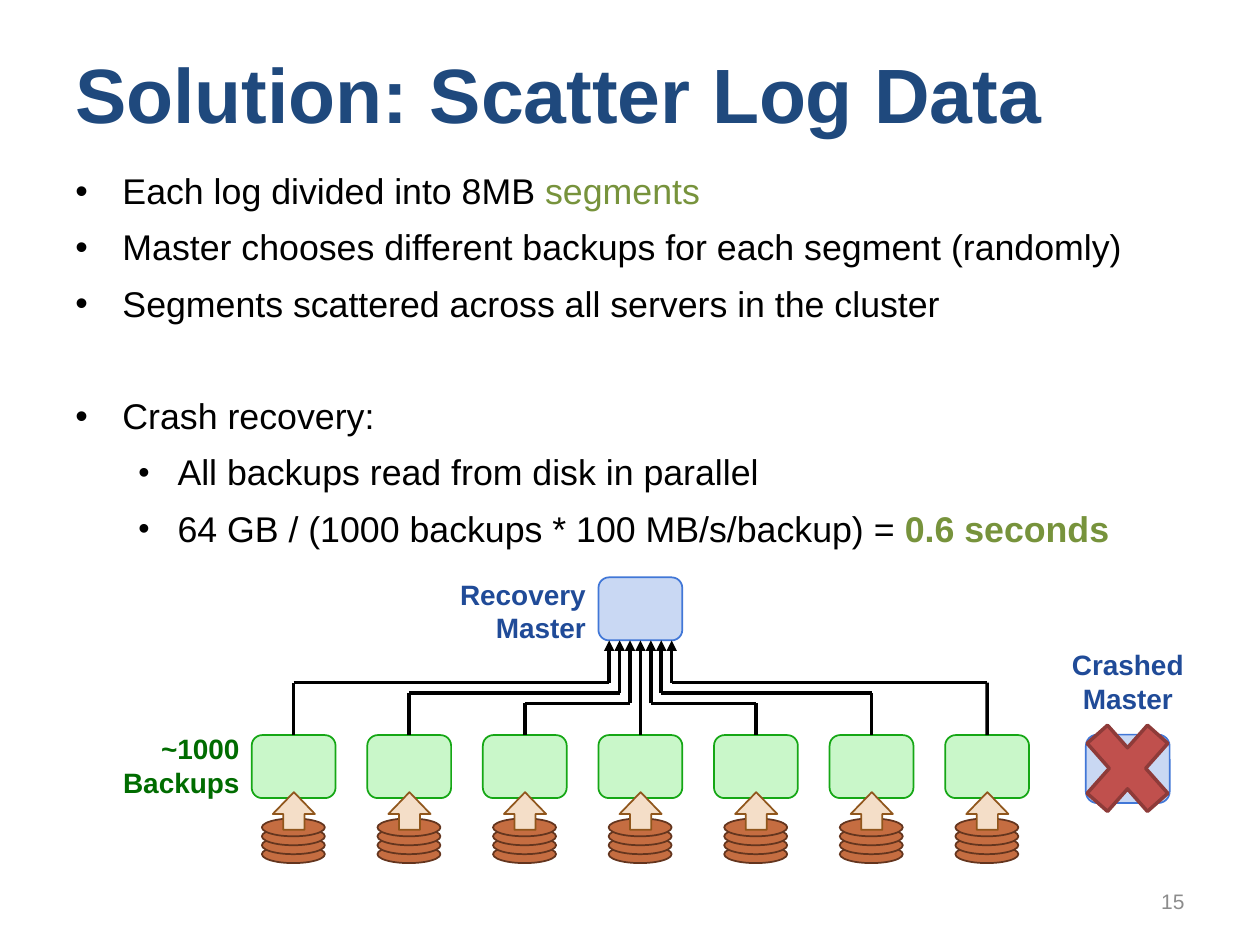
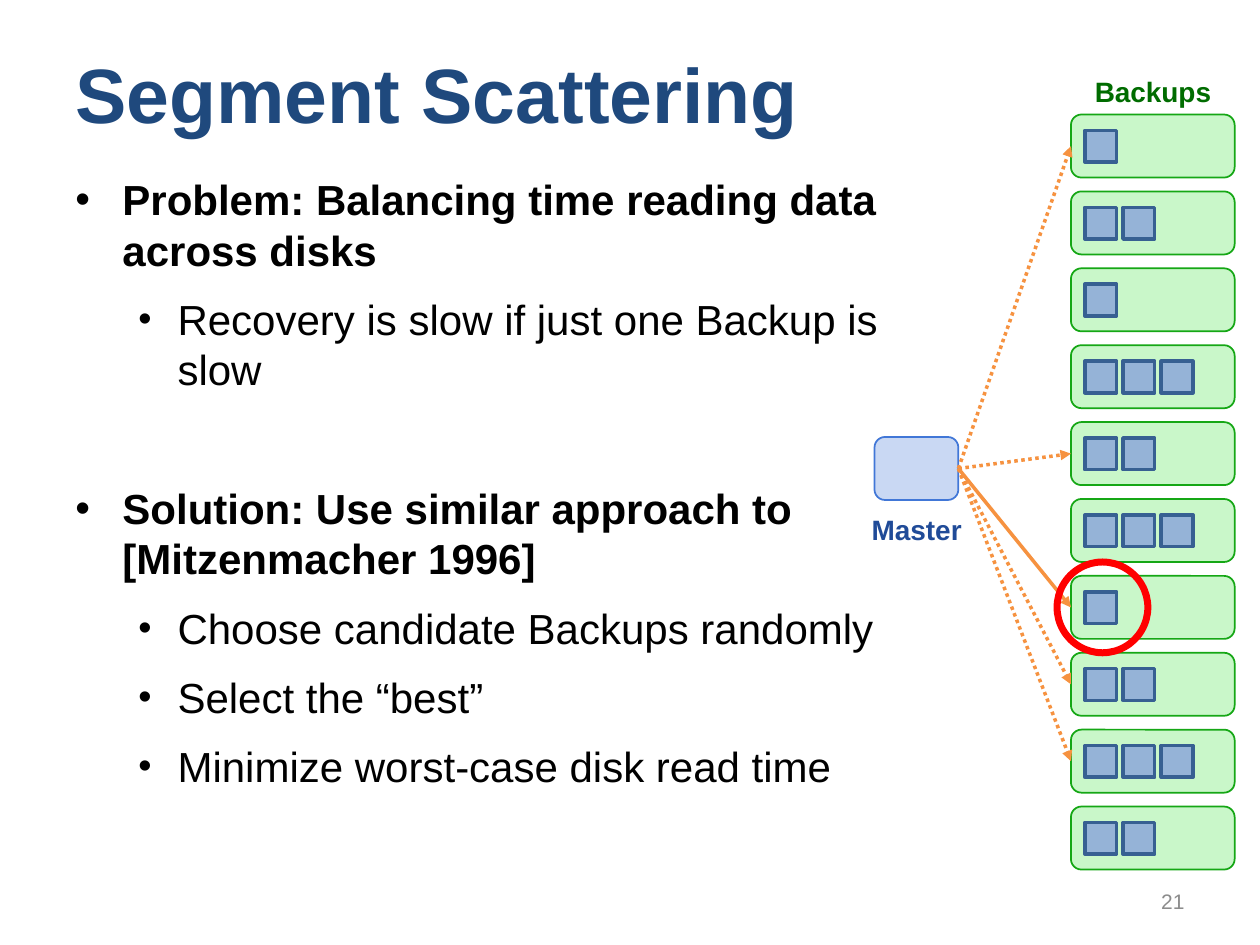
from lxml.etree import SubElement
from pptx import Presentation
from pptx.dml.color import RGBColor
from pptx.enum.dml import MSO_LINE
from pptx.enum.shapes import MSO_CONNECTOR, MSO_SHAPE as SHAPE
from pptx.enum.text import MSO_ANCHOR as ANCHOR, PP_ALIGN as ALIGN
from pptx.oxml.ns import qn
from pptx.util import Cm, Pt

rgb = RGBColor.from_string
FONT = "Arial"
BLACK, NAVY, BLUE, GREEN, OLIVE, GREY = "000000", "1F497D", "204B98", "006C00", "77933C", "8C8C8C"
MASTER = ("C9D8F3", "4177D7")
BACKUP = ("C9F7C9", "15A715")
DISK = ("C56D41", "64351E")
READ_ARROW = ("F4DEC8", "90561C")
CROSS = ("C0504D", "8E3B39")
SEGMENT = ("95B3D7", "376092")
ORANGE, RED = "F69240", "FF0000"
TITLE_AREA = (1.27, 0.76, 22.86, 2.21)
NUMBER_AREA = (18.21, 17.65, 5.92, 1.02)
BOX_WIDTH, BOX_HEIGHT = 1.69, 1.27


def add_shape(shapes, kind, area, colours, width=1):
    """Add a preset shape; area is left, top, width, height in cm, colours are fill and line."""
    shape = shapes.add_shape(kind, *map(Cm, area))
    shape.shadow.inherit = False
    fill, line = colours
    if fill:
        shape.fill.solid()
        shape.fill.fore_color.rgb = rgb(fill)
    else:
        shape.fill.background()
    shape.line.color.rgb = rgb(line)
    shape.line.width = Pt(width)
    return shape


def add_line(slide, start, end, colour, arrow=False, dash=None):
    """Add a straight connector between two points given in cm."""
    connector = slide.shapes.add_connector(MSO_CONNECTOR.STRAIGHT, *map(Cm, start + end))
    connector.line.color.rgb = rgb(colour)
    connector.line.width = Pt(2)
    if dash:
        connector.line.dash_style = dash
    if arrow:
        SubElement(connector.line._get_or_add_ln(), qn("a:tailEnd"), type="triangle")
    SubElement(connector._element.spPr, qn("a:effectLst"))
    return connector


presentation = Presentation()
presentation.slide_width, presentation.slide_height = Cm(25.4), Cm(19.05)
blank = presentation.slide_layouts[6]
scatter_slide = presentation.slides.add_slide(blank)
balance_slide = presentation.slides.add_slide(blank)

# Titles, page numbers and labels
texts = [
    (scatter_slide, TITLE_AREA, "Solution: Scatter Log Data", 44, NAVY, ALIGN.LEFT),
    (scatter_slide, NUMBER_AREA, "15", 12, GREY, ALIGN.RIGHT),
    (scatter_slide, (8.99, 11.51, 3.07, 1.63), "Recovery\nMaster", 16, BLUE, ALIGN.RIGHT),
    (scatter_slide, (2.21, 14.63, 2.87, 1.63), "~1000\nBackups", 16, GREEN, ALIGN.RIGHT),
    (scatter_slide, (21.34, 12.93, 2.79, 1.63), "Crashed\nMaster", 16, BLUE, ALIGN.CENTER),
    (balance_slide, TITLE_AREA, "Segment Scattering", 44, NAVY, ALIGN.LEFT),
    (balance_slide, NUMBER_AREA, "21", 12, GREY, ALIGN.RIGHT),
    (balance_slide, (17.3, 10.21, 2.36, 0.94), "Master", 16, BLUE, ALIGN.CENTER),
    (balance_slide, (21.82, 1.37, 2.87, 0.94), "Backups", 16, GREEN, ALIGN.LEFT),
]
for slide, area, text, size, colour, alignment in texts:
    text_frame = slide.shapes.add_textbox(*map(Cm, area)).text_frame
    is_label = size == 16
    text_frame.word_wrap = not is_label
    text_frame.vertical_anchor = ANCHOR.TOP if is_label else ANCHOR.MIDDLE
    text_frame.text = text
    for paragraph in text_frame.paragraphs:
        paragraph.alignment = alignment
        font = paragraph.runs[0].font
        font.name, font.size, font.bold = FONT, Pt(size), colour != GREY
        font.color.rgb = rgb(colour)

# Bullet lists: level, text, highlighted ending, whether the ending is bold
scatter_points = [
    (0, "Each log divided into 8MB ", "segments", False),
    (0, "Master chooses different backups for each segment (randomly)", "", False),
    (0, "Segments scattered across all servers in the cluster", "", False),
    (0, "Crash recovery:", "", False),
    (1, "All backups read from disk in parallel", "", False),
    (1, "64 GB / (1000 backups * 100 MB/s/backup) = ", "0.6 seconds", True),
]
balance_points = [
    (0, "Problem: Balancing time reading data across disks", "", False),
    (1, "Recovery is slow if just one Backup is slow", "", False),
    (0, "Solution: Use similar approach to [Mitzenmacher 1996]", "", False),
    (1, "Choose candidate Backups randomly", "", False),
    (1, "Select the “best”", "", False),
    (1, "Minimize worst-case disk read time", "", False),
]
# Each list has one wider gap, before its second part
bodies = [
    (scatter_slide, scatter_points, 22.86, 8.46, 20.4, 0.9, False, 3, 36.2),
    (balance_slide, balance_points, 17.35, 13.64, 24, 1.0, True, 2, 44.3),
]
for slide, points, width, height, size, spacing, bold_heads, gap_index, gap in bodies:
    text_frame = slide.shapes.add_textbox(Cm(1.27), Cm(3.38), Cm(width), Cm(height)).text_frame
    text_frame.word_wrap = True
    for index, (level, text, highlight, bold_highlight) in enumerate(points):
        paragraph = text_frame.paragraphs[0] if index == 0 else text_frame.add_paragraph()
        paragraph.level = level
        paragraph.line_spacing = spacing
        paragraph.space_after = Pt(6)
        if index:
            paragraph.space_before = Pt(gap if index == gap_index else 0.2 * size)
        properties = paragraph._p.get_or_add_pPr()
        margin, indent = ((0.95, -0.95), (2.06, -0.79))[level]
        properties.set("marL", str(Cm(margin)))
        properties.set("indent", str(Cm(indent)))
        if level:
            SubElement(properties, qn("a:buSzPct"), val="90000")
        SubElement(properties, qn("a:buFont"), typeface=FONT)
        SubElement(properties, qn("a:buChar"), char="•")
        runs = [(text, BLACK, bold_heads and level == 0)]
        if highlight:
            runs.append((highlight, OLIVE, bold_highlight))
        for words, colour, bold in runs:
            run = paragraph.add_run()
            run.text = words
            run.font.name, run.font.size, run.font.bold = FONT, Pt(size), bold
            run.font.color.rgb = rgb(colour)

# Scatter slide: seven backups feed one recovery master
MIDDLE_X, BACKUP_TOP, MASTER_TOP = 12.91, 14.82, 11.64
MASTER_BOTTOM = MASTER_TOP + BOX_HEIGHT
recovery_master = add_shape(
    scatter_slide.shapes, SHAPE.ROUNDED_RECTANGLE,
    (MIDDLE_X - BOX_WIDTH / 2, MASTER_TOP, BOX_WIDTH, BOX_HEIGHT), MASTER)
for offset in range(-3, 4):
    x = MIDDLE_X + 2.33 * offset
    group = scatter_slide.shapes.add_group_shape()
    for layer in range(4):
        add_shape(group.shapes, SHAPE.OVAL, (x - 0.64, 17.04 - 0.18 * layer, 1.27, 0.36), DISK)
    backup = add_shape(group.shapes, SHAPE.ROUNDED_RECTANGLE,
                       (x - BOX_WIDTH / 2, BACKUP_TOP, BOX_WIDTH, BOX_HEIGHT), BACKUP)
    read_arrow = add_shape(group.shapes, SHAPE.UP_ARROW, (x - 0.42, 15.97, 0.85, 0.76), READ_ARROW)
    read_arrow.adjustments[1] = 0.58

    entry_x = MIDDLE_X + 0.21 * offset
    bend_y = 14.39 - 0.21 * abs(offset)
    if offset == 0:
        riser = add_line(scatter_slide, (x, BACKUP_TOP), (x, MASTER_BOTTOM), BLACK, arrow=True)
        riser.end_connect(recovery_master, 2)
    else:
        riser = add_line(scatter_slide, (x, BACKUP_TOP), (x, bend_y), BLACK)
        add_line(scatter_slide, (x, bend_y), (entry_x, bend_y), BLACK)
        add_line(scatter_slide, (entry_x, bend_y), (entry_x, MASTER_BOTTOM), BLACK, arrow=True)
    riser.begin_connect(backup, 0)

crashed = scatter_slide.shapes.add_group_shape()
add_shape(crashed.shapes, SHAPE.ROUNDED_RECTANGLE, (21.89, 14.81, BOX_WIDTH, 1.38), MASTER)
add_shape(crashed.shapes, SHAPE.MATH_MULTIPLY, (21.56, 14.17, 2.34, 2.64), CROSS, 2)

# Balance slide: the master picks among candidate backups
SEGMENT_COUNTS = [1, 2, 1, 3, 2, 3, 1, 2, 3, 2]
CANDIDATES, BEST = [0, 4, 6, 7, 8], 6
BACKUP_LEFT = 21.59
master = add_shape(balance_slide.shapes, SHAPE.ROUNDED_RECTANGLE,
                   (17.63, 8.81, BOX_WIDTH, BOX_HEIGHT), MASTER)
for row, count in enumerate(SEGMENT_COUNTS):
    top = 2.31 + 1.55 * row
    backup = add_shape(balance_slide.shapes, SHAPE.ROUNDED_RECTANGLE,
                       (BACKUP_LEFT, top, 3.3, BOX_HEIGHT), BACKUP)
    for column in range(count):
        add_shape(balance_slide.shapes, SHAPE.RECTANGLE,
                  (21.87 + 0.77 * column, top + 0.32, 0.64, 0.64), SEGMENT, 2)
    if row in CANDIDATES:
        choice = add_line(balance_slide, (19.32, 9.45), (BACKUP_LEFT, top + BOX_HEIGHT / 2), ORANGE,
                          arrow=True, dash=None if row == BEST else MSO_LINE.ROUND_DOT)
        choice.begin_connect(master, 3)
        choice.end_connect(backup, 1)
add_shape(balance_slide.shapes, SHAPE.OVAL, (21.31, 11.33, 1.83, 1.83), (None, RED), 4)

presentation.save("out.pptx")
